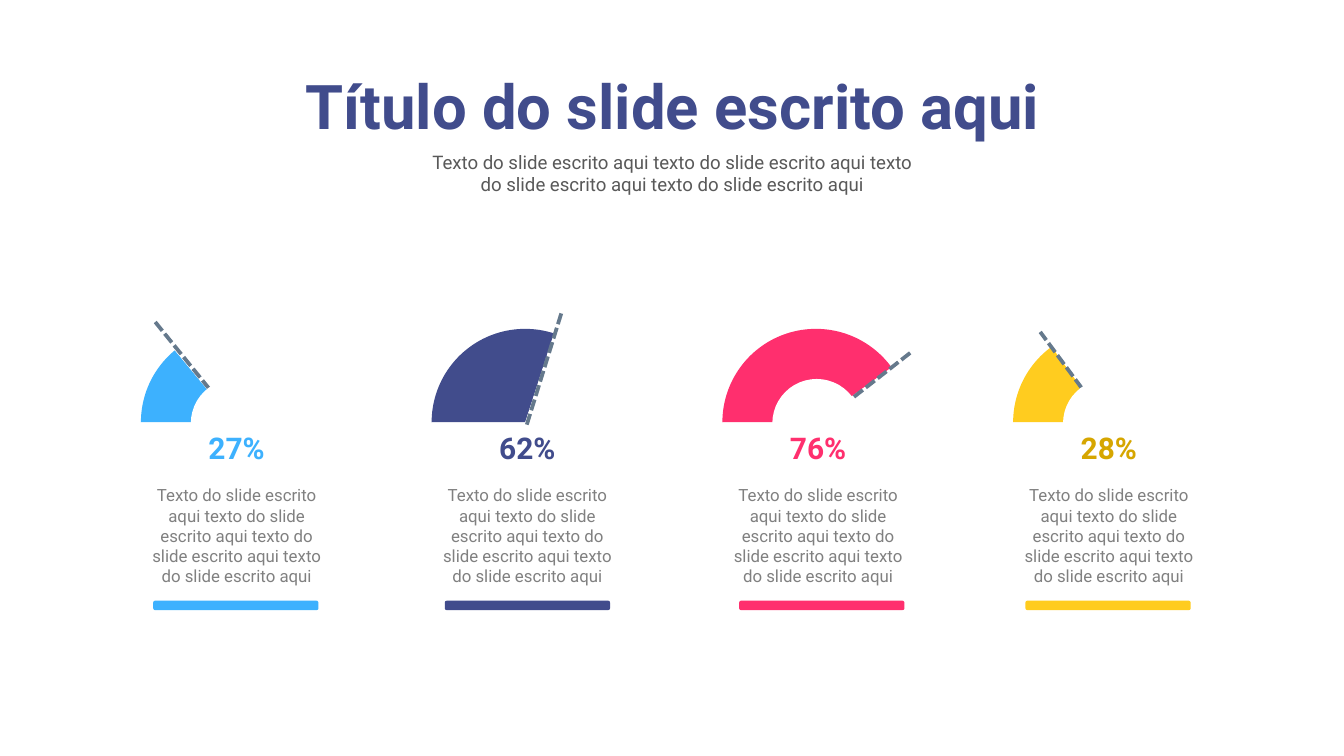
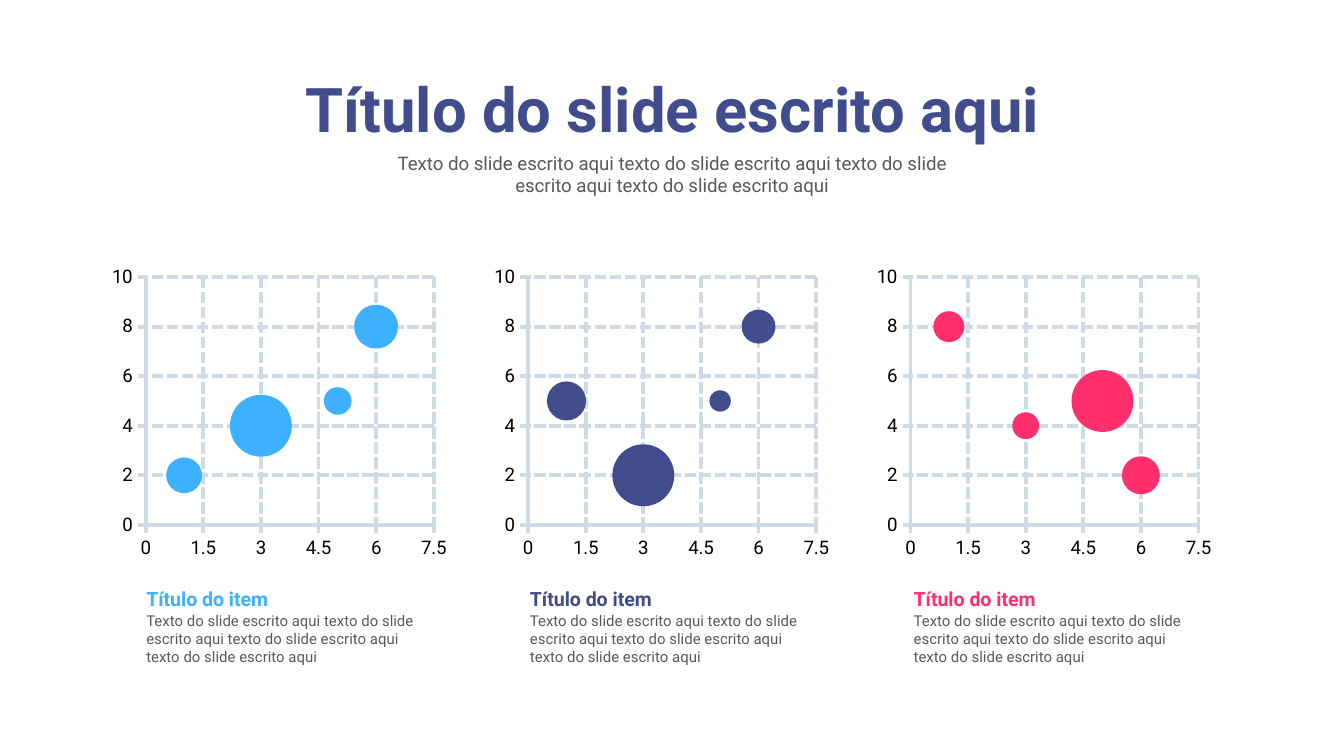
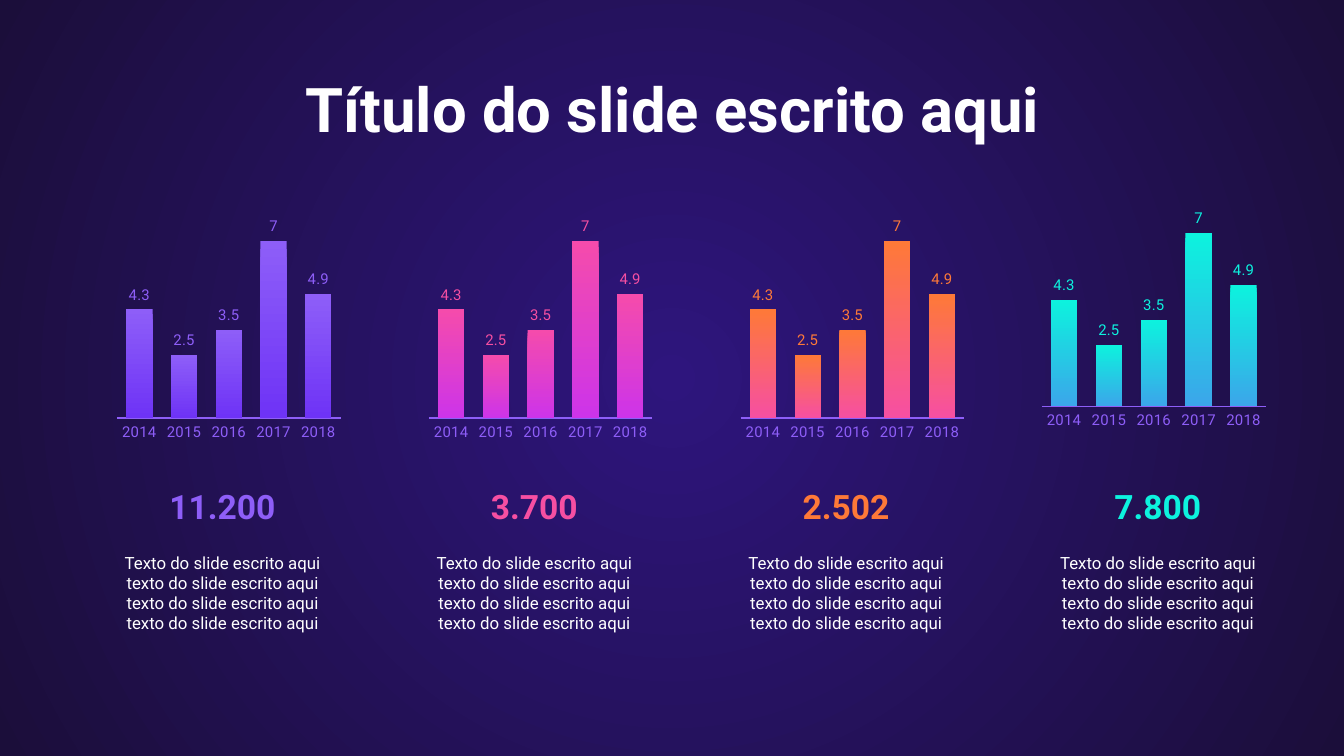
from dataclasses import dataclass

from lxml import etree
from pptx import Presentation
from pptx import util as u
from pptx.chart.data import BubbleChartData, CategoryChartData
from pptx.dml.color import RGBColor
from pptx.enum import chart as charts
from pptx.enum import dml, shapes, text
from pptx.oxml import parse_xml
from pptx.oxml.ns import nsdecls, qn


@dataclass(frozen=True)
class Theme:
    font: str = "Roboto"
    pie_font: str = "Calibri"
    white: str = "FFFFFF"
    black: str = "000000"
    sky: str = "3DB1FE"
    navy: str = "414C8C"
    pink: str = "FF2F6E"
    yellow: str = "FFCC1F"
    mustard: str = "D6A600"
    gray: str = "808080"
    dark_gray: str = "595959"
    needle: str = "65798C"
    grid: str = "CEDBE6"
    night: tuple = ("2E157D", "1B0E3A")
    violet: str = "8E5EF8"
    magenta: str = "F64FA2"
    orange: str = "FE7938"
    aqua: str = "0DF2DE"
    title: float = 33
    figure: float = 18
    percent: float = 16
    item: float = 10.5
    body: float = 10
    note: float = 9
    small: float = 8


THEME = Theme()
FILLER = " ".join(["Texto do slide escrito aqui"] + ["texto do slide escrito aqui"] * 3)
BOX_INSETS = (0.1, 0.05)
TIGHT_INSETS = (0.02, 0.02)
ITEM_INSETS = (0.1, 0.04)


def apply(target, **values):
    for name, value in values.items():
        setattr(target, name, value)


def inches(*lengths):
    return [u.Inches(length) for length in lengths]


def spread(first, last, count):
    """Evenly spaced positions from first to last."""
    return [first + (last - first) * index / (count - 1) for index in range(count)]


class Deck:
    def __init__(self, theme):
        self.theme = theme
        self.presentation = Presentation()
        apply(self.presentation, slide_width=u.Inches(10), slide_height=u.Inches(5.625))
        self.slide = None

    def new_slide(self):
        self.slide = self.presentation.slides.add_slide(self.presentation.slide_layouts[6])

    def style_font(self, font, size, color, bold=False, name=None):
        apply(font, size=u.Pt(size), bold=bold, name=name or self.theme.font)
        font.color.rgb = RGBColor.from_string(color)

    def style_line(self, line, color, width, dashed=False):
        line.color.rgb = RGBColor.from_string(color)
        line.width = u.Pt(width)
        if dashed:
            line.dash_style = dml.MSO_LINE.SQUARE_DOT

    def paint(self, fill, color):
        """Fill with one colour, or with a top-to-bottom gradient for a pair."""
        if isinstance(color, str):
            fill.solid()
            fill.fore_color.rgb = RGBColor.from_string(color)
            return
        fill.gradient()
        fill.gradient_angle = 270
        for stop, position, shade in zip(fill.gradient_stops, (0, 1), color):
            stop.position = position
            stop.color.rgb = RGBColor.from_string(shade)

    def text(self, box, content, size, color, bold=False, centered=True, insets=BOX_INSETS):
        frame = self.slide.shapes.add_textbox(*inches(*box)).text_frame
        across, down = inches(*insets)
        apply(frame, word_wrap=True, auto_size=text.MSO_AUTO_SIZE.SHAPE_TO_FIT_TEXT,
              margin_left=across, margin_right=across, margin_top=down, margin_bottom=down)
        paragraph = frame.paragraphs[0]
        paragraph.alignment = text.PP_ALIGN.CENTER if centered else text.PP_ALIGN.LEFT
        run = paragraph.add_run()
        run.text = content
        self.style_font(run.font, size, color, bold)

    def title(self, color, top=0.48):
        self.text((0.87, top, 8.27, 0.66), "Título do slide escrito aqui",
                  self.theme.title, color, bold=True)

    def shape(self, kind, box, color):
        shape = self.slide.shapes.add_shape(kind, *inches(*box))
        shape.shadow.inherit = False
        self.paint(shape.fill, color)
        shape.line.fill.background()
        return shape

    def radial_background(self, colors):
        shape = self.shape(shapes.MSO_SHAPE.RECTANGLE, (0, 0, 10, 5.625), colors)
        linear = shape._element.spPr.find(qn("a:gradFill")).find(qn("a:lin"))
        linear.getparent().replace(linear, parse_xml(
            f'<a:path {nsdecls("a")} path="circle">'
            '<a:fillToRect l="50000" t="50000" r="50000" b="50000"/></a:path>'))

    def needle(self, start, end):
        connector = self.slide.shapes.add_connector(
            shapes.MSO_CONNECTOR.STRAIGHT, *inches(*start, *end))
        self.style_line(connector.line, self.theme.needle, 2, dashed=True)
        etree.SubElement(connector._element.spPr, qn("a:effectLst"))

    def chart(self, kind, box, data, layout, size, color, font=None):
        """Add a bare chart whose inner plot area takes the layout fractions."""
        chart = self.slide.shapes.add_chart(kind, *inches(*box), data).chart
        apply(chart, has_legend=False, has_title=False)
        self.style_font(chart.font, size, color, name=font)
        plot_area = chart._chartSpace.chart.plotArea
        for old_layout in plot_area.findall(qn("c:layout")):
            plot_area.remove(old_layout)
        places = "".join(f'<c:{tag} val="{value}"/>' for tag, value in zip("xywh", layout))
        plot_area.insert(0, parse_xml(
            f'<c:layout {nsdecls("c")}><c:manualLayout><c:layoutTarget val="inner"/>'
            f'<c:xMode val="edge"/><c:yMode val="edge"/>{places}</c:manualLayout></c:layout>'))
        return chart

    def pie(self, box, share, color):
        """Pie that starts at nine o'clock and shows only its first slice."""
        data = CategoryChartData()
        data.categories = ["1", "2"]
        data.add_series("Series 1", (share, 100 - share))
        chart = self.chart(charts.XL_CHART_TYPE.PIE, box, data, (0.005, 0.005, 0.99, 0.988),
                           self.theme.body, self.theme.black, self.theme.pie_font)
        plot = chart.plots[0]
        plot.vary_by_categories = True
        for index, shade in enumerate((color, self.theme.white)):
            point_format = plot.series[0].points[index].format
            self.paint(point_format.fill, shade)
            point_format.line.fill.background()
        for angle in plot._element.findall(qn("c:firstSliceAng")):
            plot._element.remove(angle)
        etree.SubElement(plot._element, qn("c:firstSliceAng")).set("val", "270")

    def bubbles(self, box, points, color):
        data = BubbleChartData()
        series = data.add_series("Series 1")
        for point in points:
            series.add_data_point(*point)
        chart = self.chart(charts.XL_CHART_TYPE.BUBBLE, box, data, (0.096, 0.106, 0.809, 0.775),
                           self.theme.body, self.theme.black)
        plot = chart.plots[0]
        plot.bubble_scale = 100
        self.paint(plot.series[0].format.fill, color)
        plot.series[0].format.line.fill.background()
        for axis, top, step in ((chart.category_axis, 7.5, 1.5), (chart.value_axis, 10, 2)):
            apply(axis, minimum_scale=0, maximum_scale=top, major_unit=step,
                  has_major_gridlines=True, has_minor_gridlines=False,
                  major_tick_mark=charts.XL_TICK_MARK.OUTSIDE,
                  minor_tick_mark=charts.XL_TICK_MARK.NONE,
                  tick_label_position=charts.XL_TICK_LABEL_POSITION.LOW)
            apply(axis.tick_labels, number_format="General", number_format_is_linked=False)
            self.style_line(axis.format.line, self.theme.grid, 2)
            self.style_line(axis.major_gridlines.format.line, self.theme.grid, 2, dashed=True)

    def columns(self, box, layout, gradient, label_color):
        data = CategoryChartData()
        data.categories = ["2014", "2015", "2016", "2017", "2018"]
        data.add_series("Series 1", (4.3, 2.5, 3.5, 7, 4.9))
        theme = self.theme
        chart = self.chart(charts.XL_CHART_TYPE.COLUMN_CLUSTERED, box, data, layout,
                           theme.small, theme.violet)
        plot = chart.plots[0]
        apply(plot, vary_by_categories=False, gap_width=70, has_data_labels=True)
        self.paint(plot.series[0].format.fill, gradient)
        apply(plot.data_labels, show_value=True,
              position=charts.XL_LABEL_POSITION.OUTSIDE_END)
        self.style_font(plot.data_labels.font, theme.small, label_color)
        apply(chart.value_axis, visible=False, has_major_gridlines=False,
              minimum_scale=0, maximum_scale=8)
        apply(chart.category_axis, major_tick_mark=charts.XL_TICK_MARK.NONE,
              has_major_gridlines=False)
        self.style_font(chart.category_axis.tick_labels.font, theme.small, theme.violet)
        self.style_line(chart.category_axis.format.line, theme.violet, 0.75)


def gauge_slide(deck):
    theme = deck.theme
    deck.new_slide()
    deck.title(theme.navy, top=0.46)
    deck.text((3.11, 1.1, 3.78, 0.38), FILLER, theme.body, theme.dark_gray, insets=TIGHT_INSETS)
    # percent, pie share, colour, percent colour, needle start and end, hole, bar left
    gauges = [
        ("27%", 14, theme.sky, theme.sky, (1.7, 3.07), (1.15, 2.39), True, 1.14),
        ("62%", 30, theme.navy, theme.navy, (3.92, 3.16), (4.18, 2.32), False, 3.31),
        ("76%", 40, theme.pink, theme.pink, (6.09, 3.16), (6.78, 2.62), True, 5.5),
        ("28%", 15, theme.yellow, theme.mustard, (8.25, 3.16), (7.74, 2.47), True, 7.63),
    ]
    for left, gauge in zip(spread(1.04, 7.53, len(gauges)), gauges):
        percent, share, color, percent_color, start, end, has_hole, bar_left = gauge
        deck.pie((left, 2.44, 1.41, 1.41), share, color)
        deck.needle(start, end)
        if has_hole:
            deck.shape(shapes.MSO_SHAPE.OVAL, (left + 0.38, 2.82, 0.66, 0.66), theme.white)
        deck.text((left + 0.33, 3.18, 0.78, 0.31), percent, theme.percent, percent_color,
                  bold=True, insets=TIGHT_INSETS)
        deck.text((left, 3.59, 1.44, 0.8), FILLER, theme.note, theme.gray, insets=TIGHT_INSETS)
        bar = deck.shape(shapes.MSO_SHAPE.ROUNDED_RECTANGLE, (bar_left, 4.47, 1.23, 0.07), color)
        bar.adjustments[0] = 0.21


def bubble_slide(deck):
    theme = deck.theme
    deck.new_slide()
    deck.title(theme.navy)
    deck.text((2.71, 1.08, 4.58, 0.44), FILLER, theme.body, theme.dark_gray)
    # each point is x, y, size
    items = [
        (theme.sky, [(1, 2, 20), (3, 4, 60), (5, 5, 12), (6, 8, 30)]),
        (theme.navy, [(1, 5, 40), (3, 2, 100), (5, 5, 12), (6, 8, 30)]),
        (theme.pink, [(1, 8, 20), (3, 4, 15), (5, 5, 80), (6, 2, 30)]),
    ]
    chart_lefts = spread(0.83, 6.52, len(items))
    caption_lefts = spread(0.99, 6.7, len(items))
    for chart_left, caption_left, (color, points) in zip(chart_lefts, caption_lefts, items):
        deck.bubbles((chart_left, 1.81, 2.65, 2.38), points, color)
        deck.text((caption_left, 4.51, 2.26, 0.48), FILLER, theme.small, theme.dark_gray,
                  centered=False, insets=ITEM_INSETS)
        deck.text((caption_left, 4.33, 1.84, 0.25), "Título do item", theme.item, color,
                  bold=True, centered=False, insets=ITEM_INSETS)


def column_slide(deck):
    theme = deck.theme
    deck.new_slide()
    deck.radial_background(theme.night)
    deck.title(theme.white)
    # figure, label colour, column gradient
    items = [
        ("11.200", theme.violet, (theme.violet, "6E33F6")),
        ("3.700", theme.magenta, ("F54BAC", "CD34E9")),
        ("2.502", theme.orange, (theme.orange, theme.magenta)),
        ("7.800", theme.aqua, (theme.aqua, "3BA6EA")),
    ]
    for left, (figure, color, gradient) in zip(spread(0.77, 7.73, len(items)), items):
        box, layout = (left, 1.54, 1.77, 1.75), (0.057, 0.039, 0.943, 0.859)
        if color == theme.aqua:
            box, layout = (7.7, 1.48, 1.77, 1.86), (0.029, 0.039, 0.943, 0.792)
        deck.columns(box, layout, gradient, color)
        deck.text((left, 3.57, 1.77, 0.4), figure, theme.figure, color, bold=True)
        deck.text((left, 4.06, 1.77, 0.71), FILLER, theme.note, theme.white)


def main():
    deck = Deck(THEME)
    gauge_slide(deck)
    bubble_slide(deck)
    column_slide(deck)
    deck.presentation.save("out.pptx")


if __name__ == "__main__":
    main()
